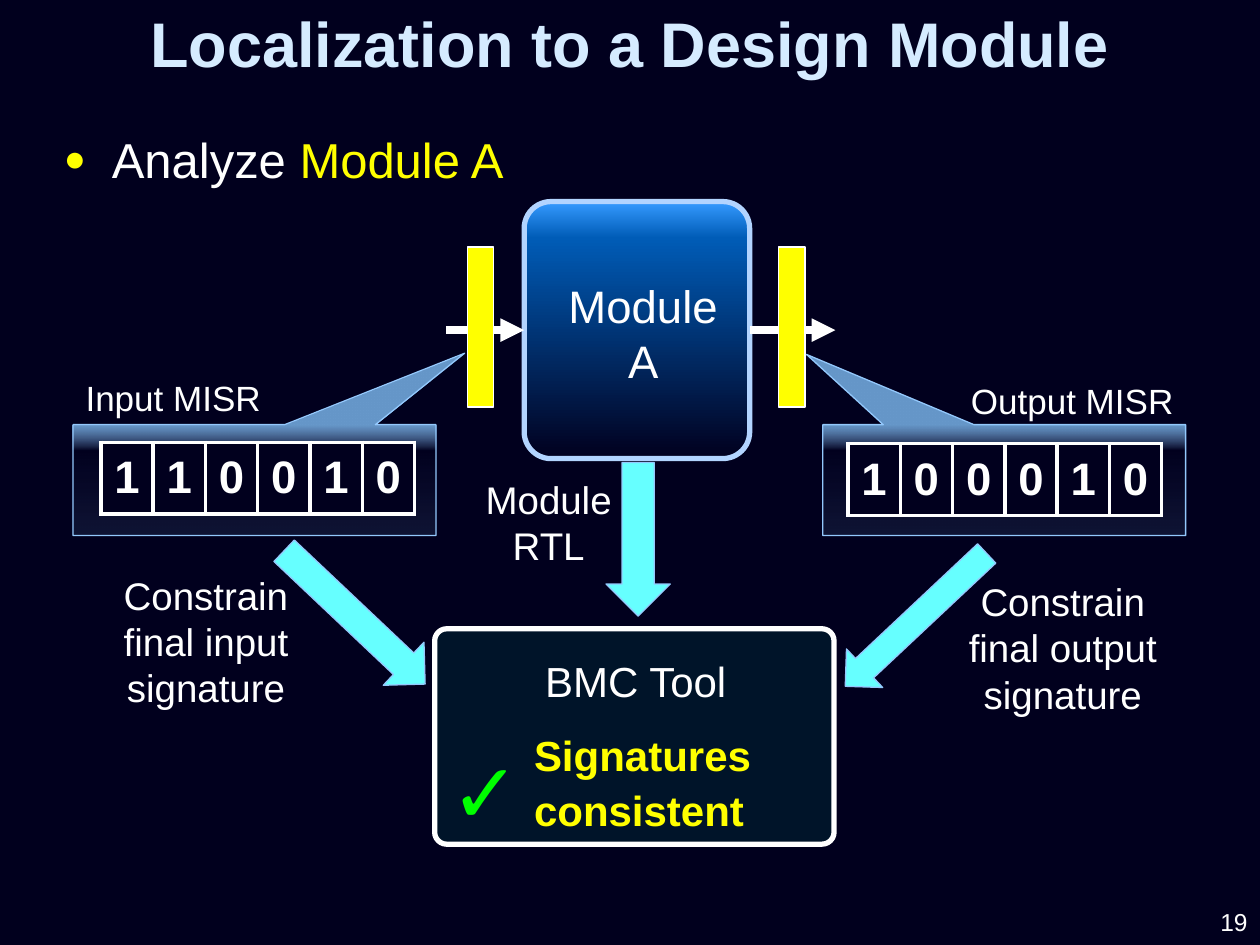
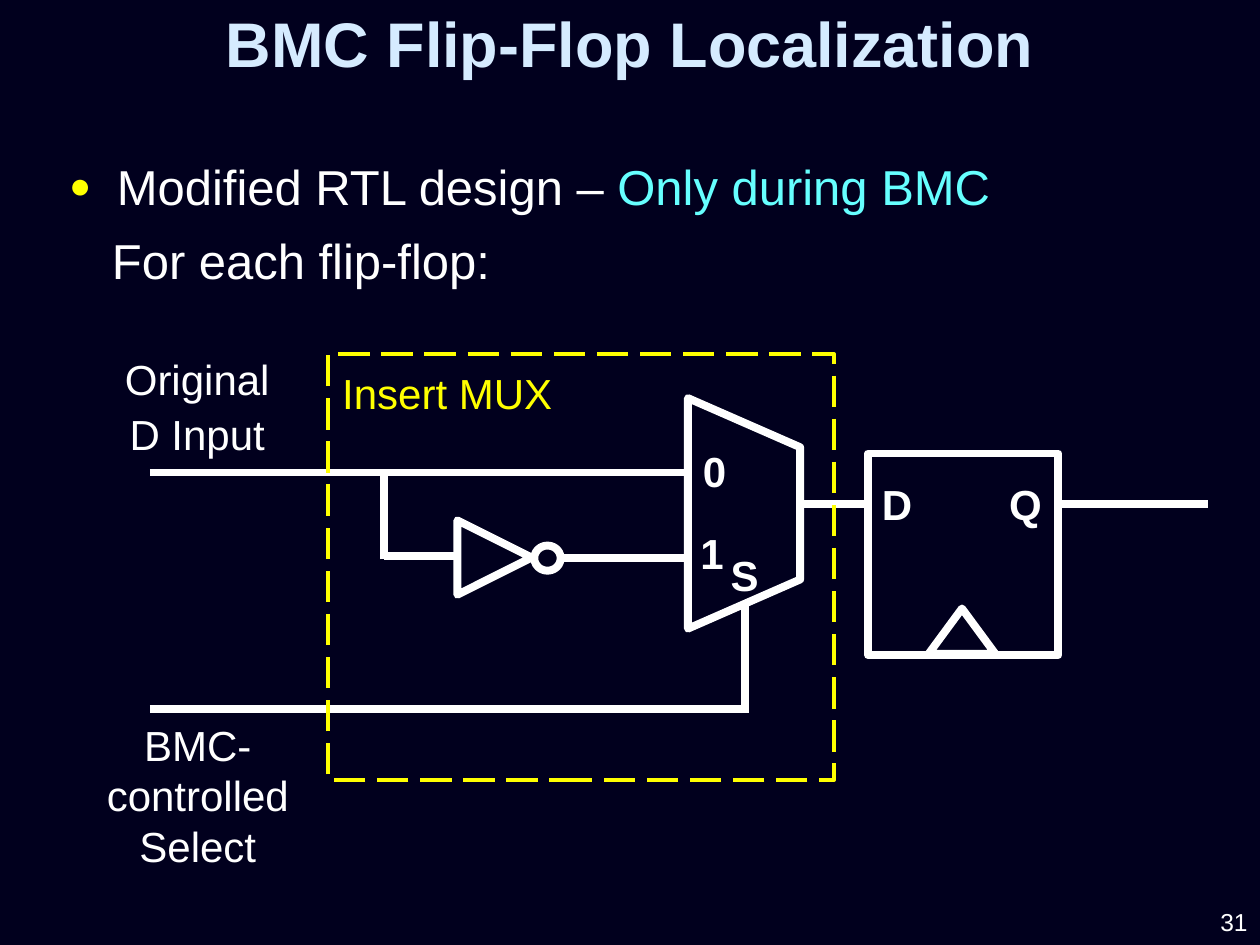
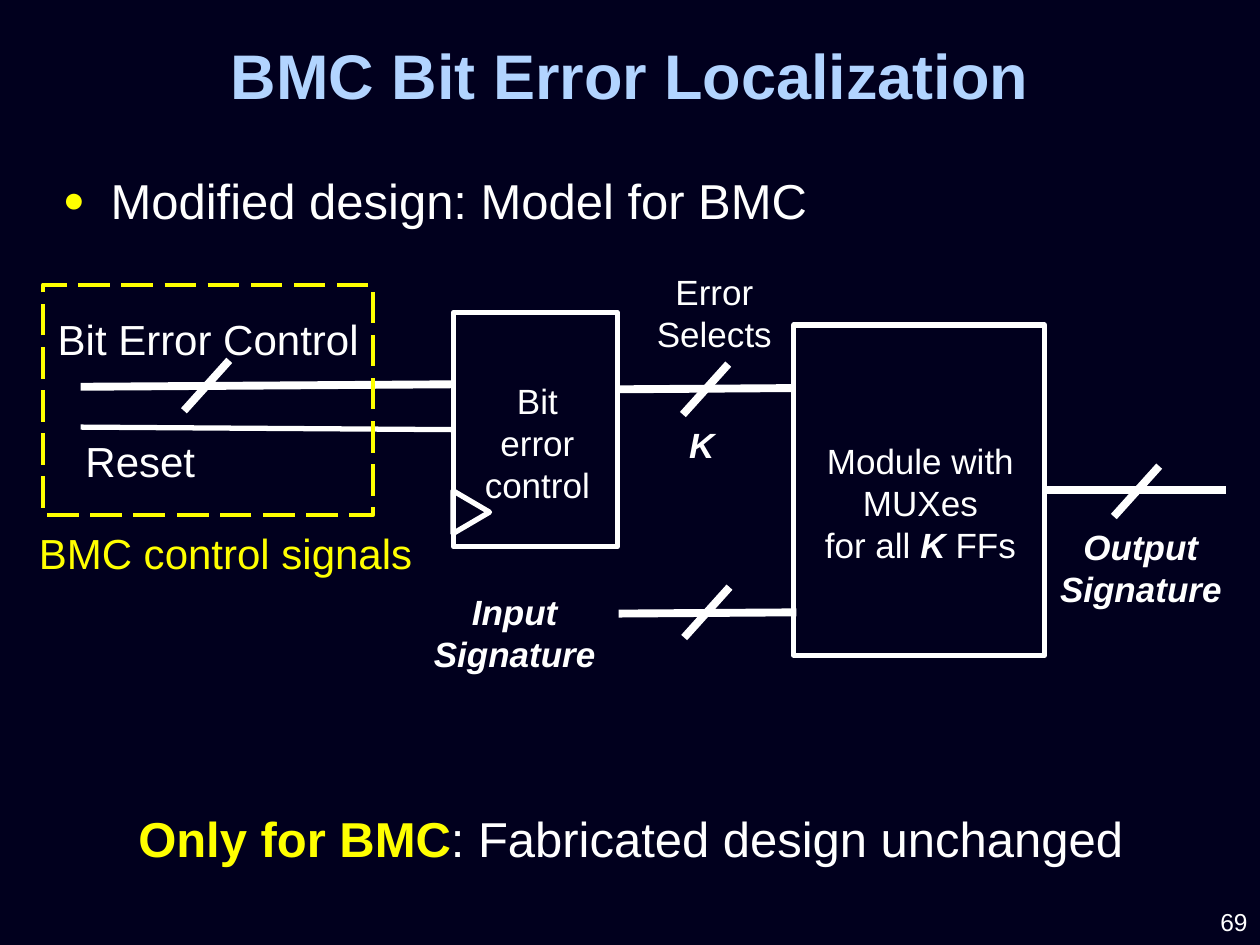
from dataclasses import dataclass

from lxml import etree
from pptx import Presentation
from pptx.dml.color import RGBColor
from pptx.enum.dml import MSO_LINE
from pptx.enum.shapes import MSO_CONNECTOR, MSO_SHAPE
from pptx.enum.text import MSO_ANCHOR, MSO_AUTO_SIZE, PP_ALIGN
from pptx.oxml.ns import qn
from pptx.util import Inches, Pt

LEFT, CENTER, RIGHT = PP_ALIGN.LEFT, PP_ALIGN.CENTER, PP_ALIGN.RIGHT
MIDDLE = MSO_ANCHOR.MIDDLE
STRAIGHT = MSO_CONNECTOR.STRAIGHT
RECT, ROUND_RECT = MSO_SHAPE.RECTANGLE, MSO_SHAPE.ROUNDED_RECTANGLE
TRIANGLE, TRAPEZOID, OVAL = MSO_SHAPE.ISOSCELES_TRIANGLE, MSO_SHAPE.TRAPEZOID, MSO_SHAPE.OVAL
DOWN_ARROW, CALLOUT = MSO_SHAPE.DOWN_ARROW, MSO_SHAPE.RECTANGULAR_CALLOUT
SIDE_LEFT, SIDE_RIGHT = 1, 3


@dataclass(frozen=True)
class Theme:
    font: str = "Arial"
    night: str = "01001E"
    panel: str = "001429"
    white: str = "FFFFFF"
    yellow: str = "FFFF00"
    cyan: str = "66FFFF"
    green: str = "00FF00"
    title: str = "D5EBFF"
    pale: str = "B2D4FF"
    edge: str = "93C8FC"
    title_size: int = 36
    body: int = 28
    big: int = 26
    label: int = 24
    note: int = 22
    small: int = 20
    number: int = 14
    check: int = 48
    hairline: float = 0.75
    dashed: float = 2.25
    outline: float = 3
    wire: float = 4.5


THEME = Theme()
WIDTH, HEIGHT = 10, 7.5
# Gradient stops from bottom to top: position, colour, opacity (all in percent)
MODULE_GRADIENT = [(0, THEME.night, 100), (86, "005CB7", 100), (100, "359AFF", 100)]
CALLOUT_GRADIENT = [(0, "8EC7FF", 10), (77, "8CC6FF", 0), (80, "8CC6FF", 15), (100, "6798CA", 100)]

# Slide 1 content
REGISTERS = [  # callout left, pointer, table left and top, bits
    (0.58, (0.579, -1.144), (0.8, 3.51), "110010"),
    (6.53, (-0.545, -1.134), (6.73, 3.52), "100010"),
]
FLOW_ARROWS = [  # left, top, width, height, rotation
    (4.81, 3.67, 0.51, 1.22, 0),
    (2.58, 4.13, 0.47, 1.54, 313.4),
    (7.06, 4.15, 0.42, 1.54, 46.8),
]
FLOW_LABELS = [  # box, lines, size
    ((3.54, 3.73, 1.63, 0.86), ["Module", "RTL"], THEME.note),
    ((4.37, 2.16, 1.47, 0.98), ["Module A"], THEME.big),
    ((3.99, 5.15, 2.11, 0.5), ["BMC Tool"], THEME.label),
    ((0.47, 2.94, 1.81, 0.44), ["Input MISR"], THEME.small),
    ((7.54, 2.96, 1.94, 0.44), ["Output MISR"], THEME.small),
    ((0.27, 4.49, 2.73, 1.21), ["Constrain", "final input signature"], THEME.note),
    ((7.07, 4.54, 2.73, 1.21), ["Constrain", "final output signature"], THEME.note),
]

# Slide 2 content
GATES = [  # preset, box, rotation
    (RECT, (6.89, 3.6, 1.51, 1.6), 0),
    (TRIANGLE, (7.37, 4.83, 0.53, 0.36), 0),
    (TRAPEZOID, (4.99, 3.63, 1.83, 0.89), 90),
    (TRIANGLE, (3.63, 4.13, 0.59, 0.59), 90),
    (OVAL, (4.24, 4.33, 0.21, 0.2), 0),
]
GATE_WIRES = [
    ((1.19, 3.75), (5.46, 3.75)), ((6.33, 4), (6.89, 4)), ((3.05, 4.41), (3.62, 4.41)),
    ((4.46, 4.43), (5.46, 4.43)), ((3.05, 4.44), (3.05, 3.77)), ((1.19, 5.63), (5.91, 5.63)),
    ((5.91, 5.66), (5.91, 4.79)), ((8.41, 4), (9.59, 4)),
]
PINS = [("D", 6.9, 3.75), ("Q", 7.91, 3.75), ("0", 5.48, 3.49), ("1", 5.46, 4.14), ("S", 5.7, 4.31)]
GATE_LABELS = [
    ((2.17, 2.87, 2.76, 0.5), ["Insert MUX"], THEME.yellow),
    ((0.79, 2.76, 1.55, 0.5), ["Original"], THEME.white),
    ((0.79, 3.19, 1.55, 0.5), ["D Input"], THEME.white),
    ((0.4, 5.66, 2.34, 1.31), ["BMC-controlled", "Select"], THEME.white),
]

# Slide 3 content
BUSES = [((0.64, 3.07), (3.58, 3.05)), ((4.9, 3.09), (6.3, 3.08)), ((4.91, 4.87), (6.32, 4.86))]
BUS_MARKS = [(1.64, 3.06), (5.6, 3.09), (5.61, 4.86), (9.02, 3.9)]
MARK_REACH = (0.18, 0.2)
STRONG = {"bold": True, "italic": True}
BLOCK_LABELS = [  # box, lines, font
    ((4.97, 2.1, 1.4, 0.77), ["Error", "Selects"], {}),
    ((6.19, 3.44, 2.23, 1.11),
     ["Module with MUXes", [("for all", {}), (" K ", STRONG), ("FFs", {})]], {}),
    ((3.71, 2.96, 1.11, 1.11), ["Bit error control"], {}),
    ((4.87, 3.31, 1.4, 0.44), ["K"], STRONG),
    ((8.29, 4.12, 1.53, 0.77), ["Output", "Signature"], STRONG),
    ((3.25, 4.64, 1.67, 0.77), ["Input", "Signature"], STRONG),
]
SIGNAL_LABELS = [
    ((0.36, 2.44, 2.8, 0.5), "Bit Error Control", THEME.white),
    ((0.58, 3.41, 1.4, 0.5), "Reset", THEME.white),
    ((0.21, 4.14, 3.3, 0.5), "BMC control signals", THEME.yellow),
]


def inches(values):
    return [Inches(value) for value in values]


def set_font(font, size=None, color=None, bold=None, italic=None):
    font.name = THEME.font
    if size:
        font.size = Pt(size)
    if color:
        font.color.rgb = RGBColor.from_string(color)
    if bold is not None:
        font.bold = bold
    if italic is not None:
        font.italic = italic


def add_bullet(para):
    props = para._p.get_or_add_pPr()
    props.set("marL", str(Inches(0.38)))
    props.set("indent", str(-Inches(0.38)))
    color = etree.SubElement(props, qn("a:buClr"))
    etree.SubElement(color, qn("a:srgbClr"), val=THEME.yellow)
    etree.SubElement(props, qn("a:buSzPct"), val="75000")
    etree.SubElement(props, qn("a:buFont"), typeface=THEME.font)
    etree.SubElement(props, qn("a:buChar"), char="●")


def add_text(page, at, lines, size, color=THEME.white, align=CENTER, anchor=None,
             spacing=None, after=None, bullet=False, **style):
    """Each line is a string or a list of (text, font settings) spans."""
    frame = page.shapes.add_textbox(*inches(at)).text_frame
    frame.word_wrap = True
    if anchor is not None:
        frame.vertical_anchor = anchor
    for index, line in enumerate(lines):
        para = frame.paragraphs[0] if index == 0 else frame.add_paragraph()
        para.alignment = align
        if spacing:
            para.line_spacing = spacing
        if after:
            para.space_after = Pt(after)
        if bullet:
            add_bullet(para)
        set_font(para.font, size, color, **style)
        for words, span_style in ([(line, {})] if isinstance(line, str) else line):
            span = para.add_run()
            span.text = words
            set_font(span.font, **{"size": size, "color": color, **style, **span_style})


def add_body(page, at, spans, align=LEFT, bullet=True):
    add_text(page, at, [spans], THEME.body, align=align, spacing=1.4, after=8, bullet=bullet)


def fill_gradient(shape, stops):
    shape.fill.gradient()
    shape.fill.gradient_angle = 90
    stop_list = shape._element.spPr.find(qn("a:gradFill")).find(qn("a:gsLst"))
    for stop in list(stop_list):
        stop_list.remove(stop)
    for position, color, opacity in stops:
        stop = etree.SubElement(stop_list, qn("a:gs"), pos=str(position * 1000))
        tint = etree.SubElement(stop, qn("a:srgbClr"), val=color)
        if opacity < 100:
            etree.SubElement(tint, qn("a:alpha"), val=str(opacity * 1000))


def add_shape(page, preset, at, fill=None, line=THEME.white, weight=THEME.outline,
              rotation=0, adjust=(), dash=None):
    """Fill is a colour, a list of gradient stops or nothing."""
    shape = page.shapes.add_shape(preset, *inches(at))
    shape.shadow.inherit = False
    shape.rotation = rotation
    for index, value in enumerate(adjust):
        shape.adjustments[index] = value
    if fill is None:
        shape.fill.background()
    elif isinstance(fill, str):
        shape.fill.solid()
        shape.fill.fore_color.rgb = RGBColor.from_string(fill)
    else:
        fill_gradient(shape, fill)
    shape.line.color.rgb = RGBColor.from_string(line)
    shape.line.width = Pt(weight)
    if dash:
        shape.line.dash_style = dash
    return shape


def add_dashed_frame(page, at):
    add_shape(page, RECT, at, line=THEME.yellow, weight=THEME.dashed, dash=MSO_LINE.LONG_DASH)


def add_wire(page, start, end, weight=THEME.wire, begin_at=None, end_at=None, arrow=False):
    wire = page.shapes.add_connector(STRAIGHT, *inches(start + end))
    if begin_at:
        wire.begin_connect(*begin_at)
    if end_at:
        wire.end_connect(*end_at)
    wire.line.color.rgb = RGBColor.from_string(THEME.white)
    wire.line.width = Pt(weight)
    props = wire._element.spPr
    if arrow:
        etree.SubElement(props.find(qn("a:ln")), qn("a:tailEnd"), type="triangle")
    etree.SubElement(props, qn("a:effectLst"))


def add_bits(page, left, top, bits):
    width, height = 2.49, 0.57
    table = page.shapes.add_table(1, len(bits), *inches((left, top, width, height))).table
    table.first_row = table.horz_banding = False
    for column, bit in enumerate(bits):
        table.columns[column].width = Inches(width / len(bits))
        cell = table.cell(0, column)
        cell.text = bit
        cell.vertical_anchor = MIDDLE
        cell.margin_left = cell.margin_right = Inches(0.09)
        cell.margin_top = cell.margin_bottom = Inches(0.04)
        props = cell._tc.get_or_add_tcPr()
        for side in ("lnL", "lnR", "lnT", "lnB"):
            border = etree.SubElement(props, qn("a:" + side), w=str(Pt(THEME.dashed)))
            solid = etree.SubElement(border, qn("a:solidFill"))
            etree.SubElement(solid, qn("a:srgbClr"), val=THEME.white)
        cell.fill.solid()
        cell.fill.fore_color.rgb = RGBColor.from_string(THEME.night)
        para = cell.text_frame.paragraphs[0]
        para.alignment = CENTER
        set_font(para.font, THEME.big, THEME.white, bold=True)


def new_page(deck, title, number, top=0.12, color=THEME.title):
    page = deck.slides.add_slide(deck.slide_layouts.get_by_name("Title Only"))
    box = page.shapes.title
    box.left, box.top, box.width, box.height = inches((0, top, WIDTH, 0.5))
    frame = box.text_frame
    frame.text = title
    frame.auto_size = MSO_AUTO_SIZE.NONE
    frame.vertical_anchor = MIDDLE
    para = frame.paragraphs[0]
    para.alignment = CENTER
    para.line_spacing = 0.9
    set_font(para.font, THEME.title_size, color, bold=True)
    add_text(page, (WIDTH - 1.82, HEIGHT - 0.36, 1.82, 0.35), [number], THEME.number,
             align=RIGHT, anchor=MIDDLE)
    return page


def build_module_page(deck):
    page = new_page(deck, "Localization to a Design Module", "19")
    add_body(page, (0.41, 0.79, 4, 0.76), [("Analyze ", {}), ("Module A", {"color": THEME.yellow})])

    # Tool, flow arrows and module
    add_shape(page, ROUND_RECT, (3.45, 4.99, 3.17, 1.71), THEME.panel, adjust=[0.056])
    for *at, rotation in FLOW_ARROWS:
        add_shape(page, DOWN_ARROW, at, THEME.cyan, THEME.edge, THEME.hairline, rotation)
    module = add_shape(page, ROUND_RECT, (4.16, 1.6, 1.79, 2.04), MODULE_GRADIENT,
                       THEME.pale, adjust=[0.119])
    add_wire(page, (3.54, 2.62), (4.16, 2.62), end_at=(module, SIDE_LEFT), arrow=True)
    add_wire(page, (5.95, 2.62), (6.63, 2.62), begin_at=(module, SIDE_RIGHT), arrow=True)
    for left in (3.71, 6.18):
        add_shape(page, RECT, (left, 1.96, 0.21, 1.27), THEME.yellow, weight=THEME.hairline)

    # Signature registers
    for left, pointer, corner, bits in REGISTERS:
        add_shape(page, CALLOUT, (left, 3.37, 2.88, 0.88), CALLOUT_GRADIENT, THEME.edge,
                  THEME.hairline, adjust=pointer)
        add_bits(page, *corner, bits)

    # Labels and verdict
    for at, lines, size in FLOW_LABELS:
        add_text(page, at, lines, size)
    add_text(page, (4.14, 5.82, 3.23, 0.95), ["Signatures", "consistent"], THEME.label,
             THEME.yellow, LEFT, spacing=0.8, after=8, bold=True)
    add_text(page, (3.48, 5.82, 0.75, 0.91), ["✓"], THEME.check, THEME.green, LEFT)


def build_flip_flop_page(deck):
    page = new_page(deck, "BMC Flip-Flop Localization", "31")
    add_body(page, (0.45, 1.01, 9.23, 0.76),
             [("Modified RTL design – ", {}), ("Only during BMC", {"color": THEME.cyan})])
    add_text(page, (0.79, 1.78, 3.35, 0.57), ["For each flip-flop:"], THEME.body, align=LEFT)

    # Circuit
    for preset, at, rotation in GATES:
        adjust = [0.438] if preset == TRAPEZOID else []
        add_shape(page, preset, at, weight=THEME.wire, rotation=rotation, adjust=adjust)
    for start, end in GATE_WIRES:
        add_wire(page, start, end)
    add_dashed_frame(page, (2.6, 2.81, 4.02, 3.38))

    # Labels
    for pin, left, top in PINS:
        add_text(page, (left, top, 0.88, 0.5), [pin], THEME.label, align=LEFT, bold=True)
    for at, lines, color in GATE_LABELS:
        add_text(page, at, lines, THEME.label, color)


def build_bit_error_page(deck):
    page = new_page(deck, "BMC Bit Error Localization", "69", top=0.38, color=THEME.pale)
    add_body(page, (0.4, 1.12, 9.21, 0.98), [("Modified design: Model for BMC", {})])

    # Blocks
    module = add_shape(page, RECT, (6.3, 2.58, 1.99, 2.62))
    control = add_shape(page, RECT, (3.6, 2.48, 1.3, 1.86))
    add_shape(page, TRIANGLE, (3.57, 3.92, 0.34, 0.29), rotation=90)

    # Buses with their width marks
    for start, end in BUSES:
        add_wire(page, start, end)
    add_wire(page, (8.29, 3.89), (9.73, 3.89), begin_at=(module, SIDE_RIGHT))
    add_wire(page, (3.6, 3.41), (0.64, 3.39), THEME.outline, begin_at=(control, SIDE_LEFT))
    reach_x, reach_y = MARK_REACH
    for x, y in BUS_MARKS:
        add_wire(page, (x - reach_x, y + reach_y), (x + reach_x, y - reach_y))
    add_dashed_frame(page, (0.34, 2.26, 2.62, 1.83))

    # Labels and closing line
    for at, lines, style in BLOCK_LABELS:
        add_text(page, at, lines, THEME.small, **style)
    for at, words, color in SIGNAL_LABELS:
        add_text(page, at, [words], THEME.label, color, LEFT)
    add_body(page, (0.4, 6.18, 9.21, 0.98),
             [("Only for BMC", {"color": THEME.yellow, "bold": True}),
              (": Fabricated design unchanged", {})], align=CENTER, bullet=False)


def main():
    deck = Presentation()
    deck.slide_width, deck.slide_height = inches((WIDTH, HEIGHT))
    backdrop = deck.slide_master.background.fill
    backdrop.solid()
    backdrop.fore_color.rgb = RGBColor.from_string(THEME.night)
    build_module_page(deck)
    build_flip_flop_page(deck)
    build_bit_error_page(deck)
    deck.save("out.pptx")


if __name__ == "__main__":
    main()
